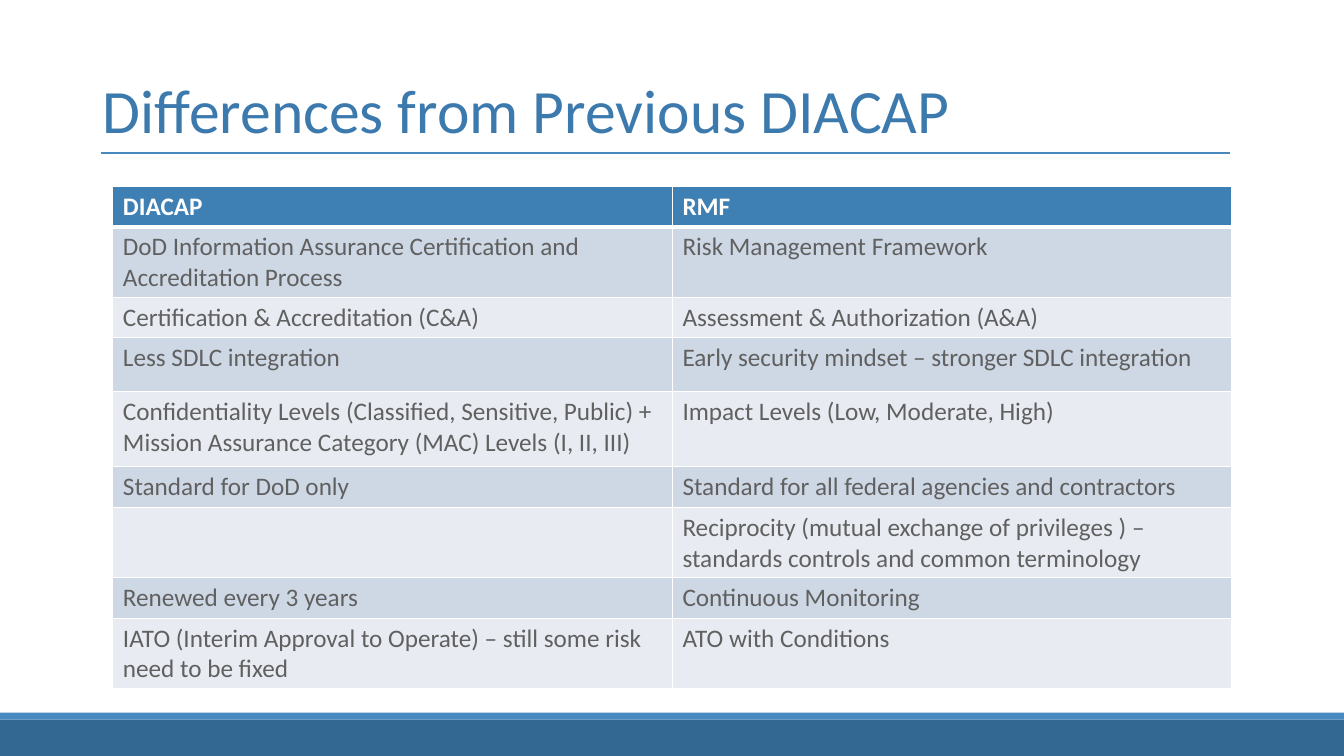
from dataclasses import dataclass

from lxml.etree import SubElement
from pptx import Presentation
from pptx.dml.color import RGBColor
from pptx.enum.shapes import MSO_CONNECTOR, MSO_SHAPE
from pptx.enum.text import MSO_ANCHOR
from pptx.oxml.ns import qn
from pptx.util import Inches, Pt


@dataclass(frozen=True)
class Theme:
    font: str = "Calibri"
    title_size: int = 44
    body_size: int = 18
    title: str = "3C7AAE"
    text: str = "606060"
    white: str = "FFFFFF"
    header: str = "3E7FB4"
    bands: tuple = ("CED8E5", "E8ECF2")
    accent: str = "488AC0"
    footer: str = "336893"


def write(tf, text, size, color, font, bold=False, spacing=None):
    p = tf.paragraphs[0]
    p.line_spacing = spacing
    r = p.add_run()
    r.text = text
    r.font.name, r.font.size, r.font.bold = font, Pt(size), bold
    r.font.color.rgb = RGBColor.from_string(color)


def set_borders(cell, color, bottom=1):
    tc_pr = cell._tc.get_or_add_tcPr()
    widths = {"a:lnL": 1, "a:lnR": 1, "a:lnT": 1, "a:lnB": bottom}
    for i, (tag, width) in enumerate(widths.items()):
        ln = SubElement(tc_pr, qn(tag), w=str(Pt(width)))
        SubElement(SubElement(ln, qn("a:solidFill")), qn("a:srgbClr"), val=color)
        tc_pr.insert(i, ln)  # borders come before the fill


class Page:
    """Places elements by percentages of the slide's width and height."""

    def __init__(self, prs, theme):
        self.prs, self.theme = prs, theme
        self.s = prs.slides.add_slide(prs.slide_layouts[6])

    def x(self, share):
        return round(self.prs.slide_width * share / 100)

    def y(self, share):
        return round(self.prs.slide_height * share / 100)

    def box(self, left, top, width, height):
        return self.x(left), self.y(top), self.x(width), self.y(height)

    def bar(self, top, height, color):
        sp = self.s.shapes.add_shape(MSO_SHAPE.RECTANGLE, *self.box(0, top, 100, height))
        sp.shadow.inherit = False
        sp.fill.solid()
        sp.fill.fore_color.rgb = RGBColor.from_string(color)
        sp.line.fill.background()

    def rule(self, left, right, y, color, width):
        sp = self.s.shapes.add_connector(
            MSO_CONNECTOR.STRAIGHT, self.x(left), self.y(y), self.x(right), self.y(y))
        sp.line.color.rgb = RGBColor.from_string(color)
        sp.line.width = Pt(width)
        SubElement(sp._element.spPr, qn("a:effectLst"))

    def title(self, text, *area):
        tf = self.s.shapes.add_textbox(*self.box(*area)).text_frame
        tf.word_wrap = True
        tf.vertical_anchor = MSO_ANCHOR.MIDDLE
        write(tf, text, self.theme.title_size, self.theme.title, self.theme.font, spacing=0.9)

    def table(self, rows, heights, left, top, width):
        t = self.theme
        area = self.box(left, top, width, sum(heights))
        table = self.s.shapes.add_table(len(rows), len(rows[0]), *area).table
        for i, (texts, height) in enumerate(zip(rows, heights)):
            head = i == 0
            fill = t.header if head else t.bands[(i - 1) % 2]
            table.rows[i].height = self.y(height)
            for cell, text in zip(table.rows[i].cells, texts):
                cell.fill.solid()
                cell.fill.fore_color.rgb = RGBColor.from_string(fill)
                set_borders(cell, t.white, bottom=3 if head else 1)
                if text:
                    write(cell.text_frame, text, t.body_size,
                          t.white if head else t.text, t.font, bold=head)


ONE_LINE, TWO_LINES = 5.33, 9.33

# Each row: height, DIACAP, RMF
COMPARISON = [
    (ONE_LINE, "DIACAP", "RMF"),
    (TWO_LINES, "DoD Information Assurance Certification and Accreditation Process",
     "Risk Management Framework"),
    (ONE_LINE, "Certification & Accreditation (C&A)", "Assessment & Authorization (A&A)"),
    (7.07, "Less SDLC integration", "Early security mindset – stronger SDLC integration"),
    (10, "Confidentiality Levels (Classified, Sensitive, Public) + "
     "Mission Assurance Category (MAC) Levels (I, II, III)",
     "Impact Levels (Low, Moderate, High)"),
    (ONE_LINE, "Standard for DoD only", "Standard for all federal agencies and contractors"),
    (TWO_LINES, "", "Reciprocity (mutual exchange of privileges\u00a0) – "
     "standards controls and common terminology"),
    (ONE_LINE, "Renewed every 3 years", "Continuous Monitoring"),
    (TWO_LINES, "IATO (Interim Approval to Operate) – still some risk need to be fixed",
     "ATO with Conditions"),
]

prs = Presentation()
prs.slide_width, prs.slide_height = Inches(13.33), Inches(7.5)
theme = Theme()
page = Page(prs, theme)

# Footer bars and title rule
page.bar(95.2, 4.8, theme.footer)
page.bar(94.27, 0.93, theme.accent)
page.rule(7.5, 91.5, 20.27, theme.accent, 1.5)

# Title
page.title("Differences from Previous DIACAP", 6.9, 5.33, 86.27, 19.33)

# Comparison table
heights, *columns = zip(*COMPARISON)
page.table(list(zip(*columns)), heights, 8.4, 24.67, 83.27)

prs.save("out.pptx")
